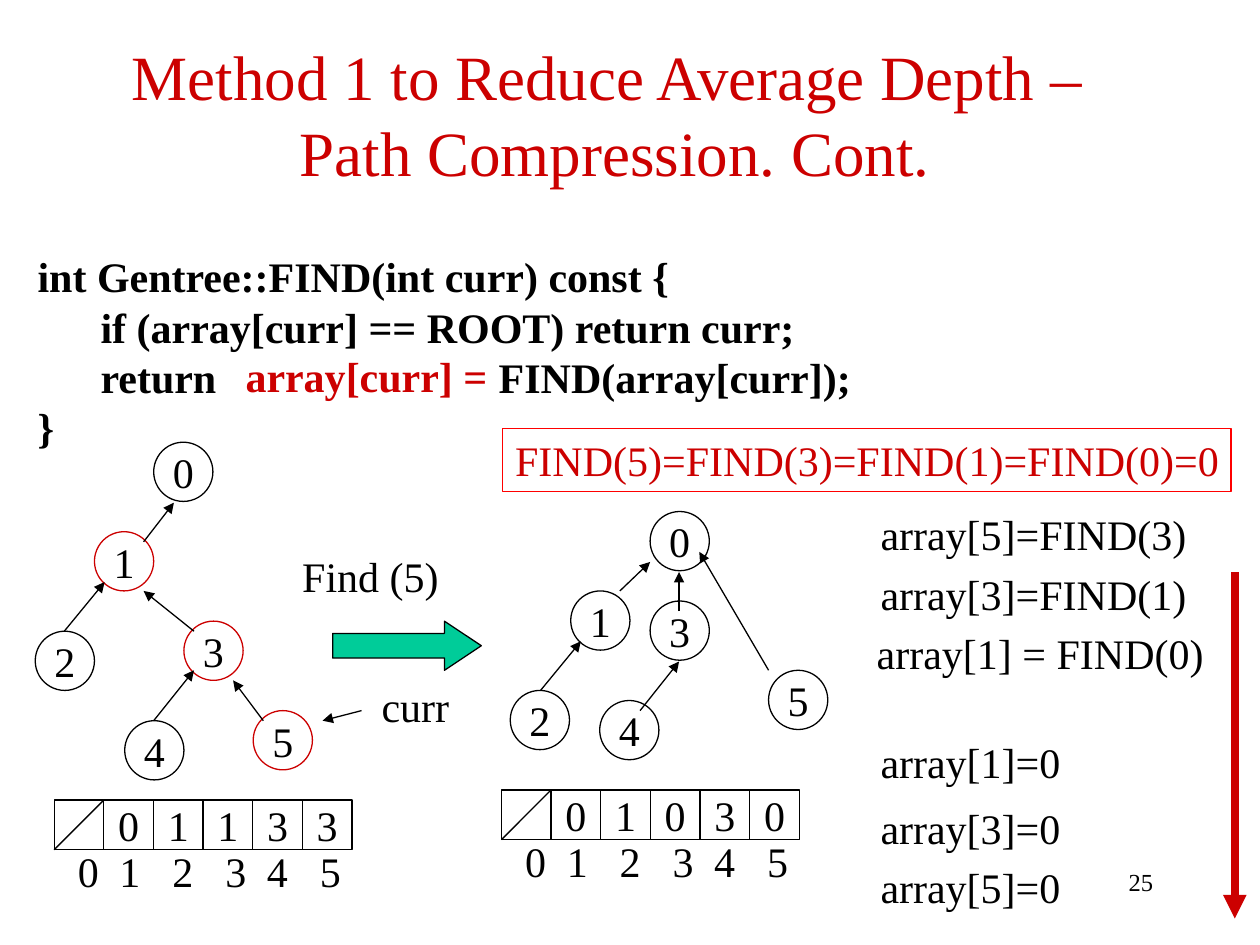
from lxml.etree import SubElement
from pptx import Presentation
from pptx.dml.color import RGBColor
from pptx.enum.shapes import MSO_CONNECTOR, MSO_SHAPE
from pptx.enum.text import MSO_ANCHOR, MSO_AUTO_SIZE, PP_ALIGN
from pptx.oxml.ns import qn
from pptx.util import Inches, Pt

FONT = "Times New Roman"
BLACK, RED, BRIGHT, GREEN = "000000", "CC0000", "FF0000", "00CC99"
NODE, CELL = 0.47, 0.394

# Content
TITLE = ["Method 1 to Reduce Average Depth – ", "Path Compression. Cont."]
CODE = [
    "int Gentree::FIND(int curr) const {",
    "\tif (array[curr] == ROOT) return curr;",
    "\treturn\tFIND(array[curr]);",
    "}",
]
CODE_TABS = [0.5, 3.66]
TRACE = "FIND(5)=FIND(3)=FIND(1)=FIND(0)=0"

# Each node: label, left, top, line colour
NODES = [
    # before
    ("0", 1.22, 3.51, BLACK), ("1", 0.75, 4.22, RED), ("2", 0.28, 5.01, BLACK),
    ("3", 1.46, 4.93, RED), ("4", 0.99, 5.72, BLACK), ("5", 2.01, 5.64, RED),
    # after
    ("0", 5.16, 4.06, BLACK), ("1", 4.53, 4.69, BLACK), ("2", 4.05, 5.48, BLACK),
    ("3", 5.16, 4.77, BLACK), ("4", 4.76, 5.56, BLACK), ("5", 6.1, 5.32, BLACK),
]
# Each edge: child end, parent end
EDGES = [
    # before
    ((1.14, 4.3), (1.38, 3.99)), ((0.51, 5.01), (0.83, 4.62)),
    ((1.54, 5.01), (1.14, 4.69)), ((1.22, 5.72), (1.54, 5.32)),
    ((2.09, 5.72), (1.85, 5.4)),
    # after
    ((4.92, 4.69), (5.16, 4.46)), ((4.29, 5.48), (4.61, 5.09)),
    ((5.39, 4.85), (5.39, 4.54)), ((5.08, 5.64), (5.39, 5.25)),
    ((6.1, 5.32), (5.55, 4.38)),
    # pointer from "curr"
    ((2.87, 5.64), (2.56, 5.72)),
]
# Each parent array: left, top, values
ARRAYS = [(0.43, 6.35, "01133"), (3.98, 6.27, "01030")]
INDEX = "0\t1\t2\t3\t4\t5"
INDEX_TABS = [0.33, 0.75, 1.17, 1.5, 1.92]

# Each label: text, left, top, width
LABELS = [
    ("Find (5)", 2.3, 4.32, 1.28),
    ("curr", 2.93, 5.35, 0.73),
    ("array[5]=FIND(3)", 6.89, 3.99, 2.63),
    ("array[3]=FIND(1)", 6.89, 4.46, 2.63),
    ("array[1] = FIND(0)", 6.86, 4.93, 2.79),
    ("array[1]=0", 6.89, 5.8, 1.63),
    ("array[3]=0", 6.89, 6.32, 1.63),
    ("array[5]=0", 6.89, 6.79, 1.63),
]

deck = Presentation()
deck.slide_width, deck.slide_height = Inches(10), Inches(7.5)
slide = deck.slides.add_slide(deck.slide_layouts[5])
shapes = slide.shapes


def paint(target, hue):
    target.rgb = RGBColor.from_string(hue)


def add_run(para, text, size=24, hue=BLACK, bold=False):
    run = para.add_run()
    run.text = text
    run.font.name, run.font.size, run.font.bold = FONT, Pt(size), bold
    paint(run.font.color, hue)


def set_tabs(para, stops):
    tabs = SubElement(para._p.get_or_add_pPr(), qn("a:tabLst"))
    for stop in stops:
        SubElement(tabs, qn("a:tab"), pos=str(Inches(stop)), algn="l")


def fill_text(frame, lines, tabs=(), align=PP_ALIGN.LEFT, **style):
    for i, line in enumerate(lines):
        para = frame.paragraphs[0] if i == 0 else frame.add_paragraph()
        para.alignment = align
        if tabs:
            set_tabs(para, tabs)
        add_run(para, line, **style)


def add_text(lines, left, top, width, height=0.5, **style):
    box = shapes.add_textbox(*map(Inches, (left, top, width, height)))
    box.text_frame.word_wrap = True
    if style.get("align") != PP_ALIGN.RIGHT:
        box.text_frame.margin_right = 0
    fill_text(box.text_frame, lines, **style)


def add_form(kind, left, top, width, height, line=BLACK, fill=None):
    form = shapes.add_shape(kind, *map(Inches, (left, top, width, height)))
    form.shadow.inherit = False
    if fill:
        form.fill.solid()
        paint(form.fill.fore_color, fill)
    else:
        form.fill.background()
    paint(form.line.color, line)
    form.line.width = Pt(0.75)
    return form


def add_mark(kind, text, left, top, side, line=BLACK):
    form = add_form(kind, left, top, side, side, line)
    if text:
        frame = form.text_frame
        frame.word_wrap = False
        frame.vertical_anchor = MSO_ANCHOR.MIDDLE
        fill_text(frame, [text], align=PP_ALIGN.CENTER)


def add_line(start, end, hue=BLACK, width=0.75, head=True):
    line = shapes.add_connector(MSO_CONNECTOR.STRAIGHT, *map(Inches, start + end))
    paint(line.line.color, hue)
    line.line.width = Pt(width)
    if head:
        SubElement(line.line._get_or_add_ln(), qn("a:tailEnd"), type="triangle")
    SubElement(line._element.spPr, qn("a:effectLst"))


# Title
title = shapes.title
title.left, title.top, title.width, title.height = map(Inches, (0.27, 0.4, 9.22, 1))
frame = title.text_frame
frame.auto_size = MSO_AUTO_SIZE.NONE
frame.vertical_anchor = MSO_ANCHOR.MIDDLE
para = frame.paragraphs[0]
para.alignment = PP_ALIGN.CENTER
for i, text in enumerate(TITLE):
    if i:
        para.add_line_break()
    add_run(para, text, 36, RED)

# Code
add_text(CODE, 0.2, 1.94, 9.53, 2.15, tabs=CODE_TABS, bold=True)
add_text(["array[curr] ="], 1.85, 2.73, 2.12, hue=RED, bold=True)

# Trees
for text, left, top, hue in NODES:
    add_mark(MSO_SHAPE.OVAL, text, left, top, NODE, hue)
for start, end in EDGES:
    add_line(start, end)
arrow = add_form(MSO_SHAPE.RIGHT_ARROW, 2.64, 4.93, 1.18, 0.39, fill=GREEN)
arrow.adjustments[1] = 0.75

# Parent arrays
for left, top, values in ARRAYS:
    for i, text in enumerate(["", *values]):
        add_mark(MSO_SHAPE.RECTANGLE, text, left + i * CELL, top, CELL)
    add_line((left, top + CELL), (left + CELL, top), head=False)
    add_text([INDEX], left + 0.09, top + 0.31, 2.36, tabs=INDEX_TABS)

# Call trace
trace = add_form(MSO_SHAPE.RECTANGLE, 3.99, 3.4, 5.78, 0.5, BRIGHT)
trace.text_frame.margin_right = 0
trace.text_frame.vertical_anchor = MSO_ANCHOR.TOP
fill_text(trace.text_frame, [TRACE], hue=RED)
for text, left, top, width in LABELS:
    add_text([text], left, top, width)
add_line((9.8, 4.54), (9.8, 7.29), RED, 4.5)

# Page number
add_text(["25"], 7.17, 6.83, 2.08, size=14, align=PP_ALIGN.RIGHT)

deck.save("out.pptx")
